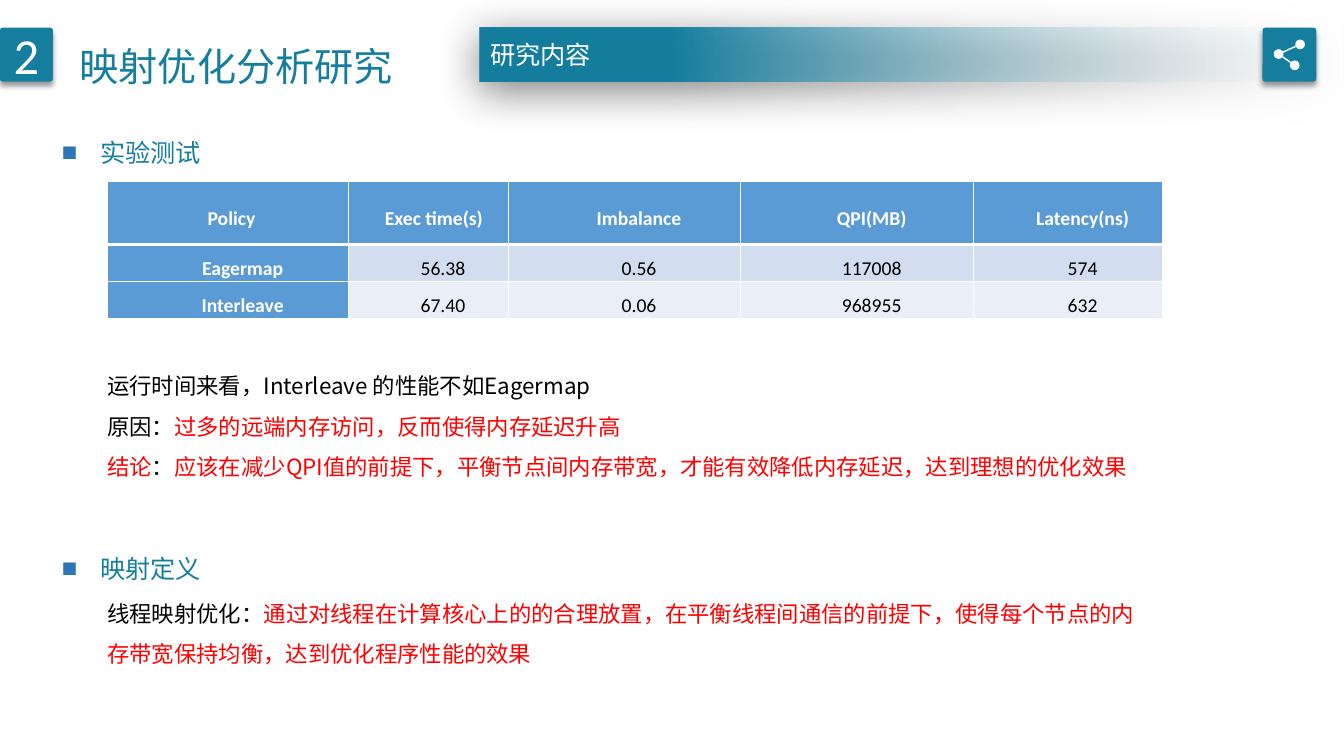
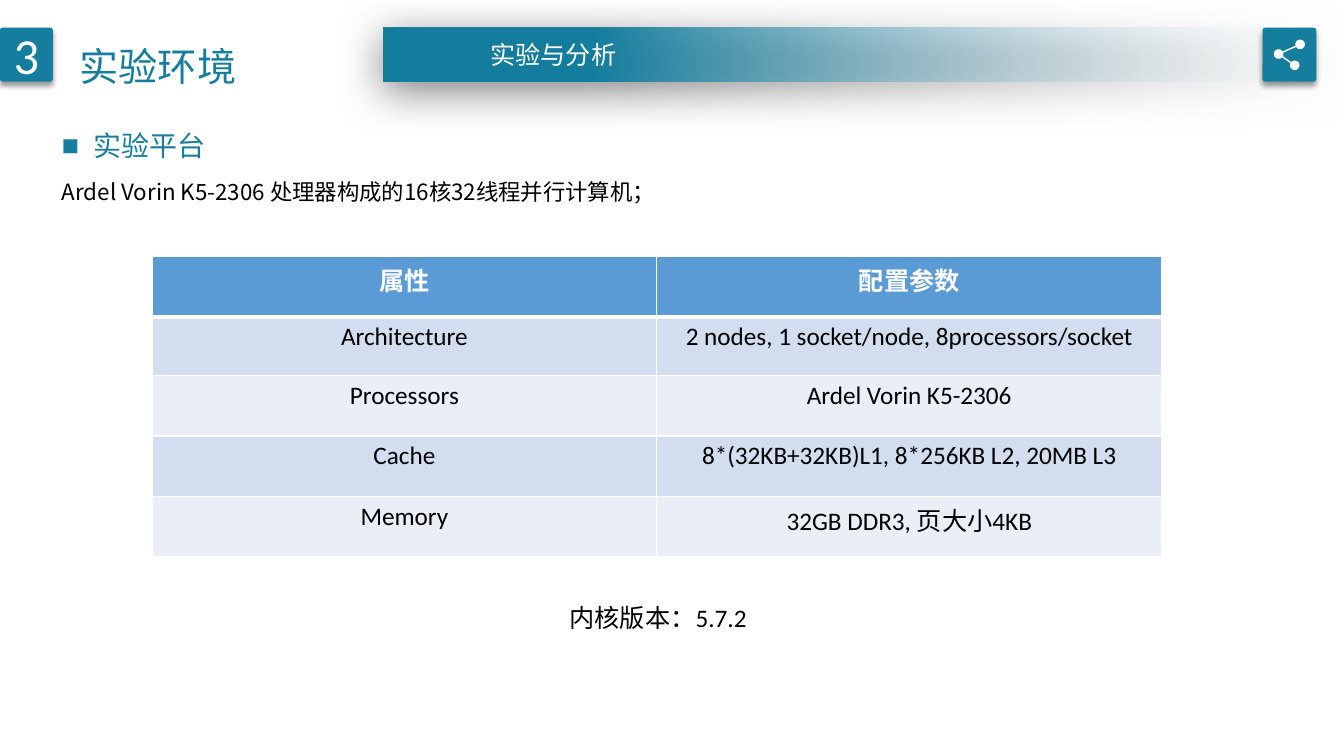
from dataclasses import dataclass

from lxml import etree
from pptx import Presentation
from pptx.dml.color import RGBColor
from pptx.enum.shapes import MSO_CONNECTOR, MSO_SHAPE
from pptx.enum.text import MSO_ANCHOR, PP_ALIGN
from pptx.oxml.ns import qn
from pptx.util import Emu, Inches, Pt

LEFT, CENTER, JUSTIFY = PP_ALIGN.LEFT, PP_ALIGN.CENTER, PP_ALIGN.JUSTIFY
MIDDLE = MSO_ANCHOR.MIDDLE
RECT, ROUNDED, OVAL = MSO_SHAPE.RECTANGLE, MSO_SHAPE.ROUNDED_RECTANGLE, MSO_SHAPE.OVAL
STRAIGHT = MSO_CONNECTOR.STRAIGHT

SLIDE_W, SLIDE_H = Inches(40 / 3), Inches(7.5)
COLS, ROWS = 160, 90
COL, ROW = SLIDE_W / COLS, SLIDE_H / ROWS
PROCESSOR = "Ardel Vorin K5-2306"


@dataclass(frozen=True)
class Theme:
    teal: str = "157E9F"
    fade: str = "F7FAFD"
    white: str = "FFFFFF"
    black: str = "000000"
    red: str = "FF0000"
    bullet: str = "2E75B6"
    header: str = "5B9BD5"
    stripes: tuple = ("D2DEEF", "EAEFF7")
    cjk: str = "Noto Sans CJK SC"
    latin: str = "Calibri"
    number: int = 36
    title: int = 28
    section: int = 20
    text: int = 18
    body: int = 16
    cell: int = 14


THEME = Theme()


@dataclass(frozen=True)
class Box:
    left: float
    top: float
    width: float
    height: float

    def emu(self):
        return (Emu(round(self.left * COL)), Emu(round(self.top * ROW)),
                Emu(round(self.width * COL)), Emu(round(self.height * ROW)))

    def at(self, left, top, width, height):
        return Box(self.left + left, self.top + top, width, height)

    def point(self, across, down):
        return self.left + across * self.width, self.top + down * self.height


PAGE = Box(0, 0, COLS, ROWS)


def rgb(color):
    return RGBColor.from_string(color)


def add_xml(parent, tag, **attributes):
    return etree.SubElement(parent, qn(tag), attributes)


def write(paragraph, runs, size, color=THEME.black, face=THEME.cjk, bold=False,
          align=LEFT, leading=None, before=0, indent=0, bullet=None):
    paragraph.alignment = align
    paragraph.space_before = Pt(before)
    if leading:
        paragraph.line_spacing = leading
    properties = paragraph._p.get_or_add_pPr()
    if bullet:
        bullet_color, hang = bullet
        properties.set("marL", str(Inches(hang)))
        indent = -hang
        add_xml(add_xml(properties, "a:buClr"), "a:srgbClr", val=bullet_color)
        add_xml(properties, "a:buSzPct", val="65000")
        add_xml(properties, "a:buFont", typeface=THEME.latin)
        add_xml(properties, "a:buChar", char="■")
    properties.set("indent", str(Inches(indent)))
    font = paragraph.font
    font.size, font.bold, font.name = Pt(size), bold, face
    add_xml(properties.find(qn("a:defRPr")), "a:ea", typeface=THEME.cjk)
    if isinstance(runs, str):
        font.color.rgb = rgb(color)
        paragraph.add_run().text = runs
        return
    for words, run_color in runs:
        run = paragraph.add_run()
        run.text = words
        run.font.color.rgb = rgb(run_color)


def add_text(slide, box, paragraphs, wrap=True):
    frame = slide.shapes.add_textbox(*box.emu()).text_frame
    frame.word_wrap = wrap
    for index, (runs, style) in enumerate(paragraphs):
        write(frame.add_paragraph() if index else frame.paragraphs[0], runs, **style)


def add_shadow(shape, alpha, blur, distance, angle):
    shape.shadow.inherit = False
    effects = shape._element.spPr.find(qn("a:effectLst"))
    shadow = add_xml(effects, "a:outerShdw", blurRad=str(Pt(blur)), dist=str(Pt(distance)),
                     dir=str(angle * 60000), algn="t", rotWithShape="0")
    color = add_xml(shadow, "a:srgbClr", val=THEME.black)
    add_xml(color, "a:alpha", val=str(alpha * 1000))


def add_solid(slide, kind, box, color):
    shape = slide.shapes.add_shape(kind, *box.emu())
    shape.shadow.inherit = False
    shape.fill.solid()
    shape.fill.fore_color.rgb = rgb(color)
    shape.line.fill.background()
    return shape


def add_tile(slide, box):
    tile = add_solid(slide, ROUNDED, box, THEME.teal)
    tile.adjustments[0] = 0.05
    add_shadow(tile, 40, 4, 3, 90)
    return tile


def add_band(slide, box):
    band = add_solid(slide, RECT, box, THEME.teal)
    band.fill.gradient()
    band.fill.gradient_angle = 180
    stops = zip(band.fill.gradient_stops, (0, 0.78), (THEME.fade, THEME.teal))
    for stop, position, color in stops:
        stop.position = position
        stop.color.rgb = rgb(color)
    clear_end = next(band._element.iter(qn("a:gs")))
    add_xml(clear_end[0], "a:alpha", val="0")
    add_shadow(band, 50, 31, 6, 97)


def add_share_icon(slide, box):
    add_tile(slide, box)
    hub, *leaves = [box.point(*share) for share in ((0.3, 0.49), (0.7, 0.31), (0.6, 0.7))]
    for leaf in leaves:
        start, end = Box(*hub, 0, 0).emu()[:2], Box(*leaf, 0, 0).emu()[:2]
        link = slide.shapes.add_connector(STRAIGHT, *start, *end)
        link.line.color.rgb = rgb(THEME.white)
        link.line.width = Pt(1)
        add_xml(link._element.spPr, "a:effectLst")
    radius = 0.09 * box.width
    for across, down in (hub, *leaves):
        dot = Box(across - radius, down - radius, 2 * radius, 2 * radius)
        add_solid(slide, OVAL, dot, THEME.white)


def add_header(slide, box, number, title, chapter, band_left):
    add_band(slide, box.at(band_left, 3.3, box.width - band_left, 6.4))
    badge = add_tile(slide, box.at(0, 3.3, 6.3, 6.4)).text_frame
    badge.vertical_anchor = MIDDLE
    write(badge.paragraphs[0], number, THEME.number, THEME.white, THEME.latin, align=CENTER)
    add_text(slide, box.at(57.2, 3.9, 36, 4.8),
             [(chapter, dict(size=THEME.text, color=THEME.white, leading=Pt(23)))])
    add_share_icon(slide, box.at(150.3, 3.3, 6.4, 6.4))
    add_text(slide, box.at(8.3, 3, 41, 8),
             [(title, dict(size=THEME.title, color=THEME.teal, leading=Pt(42)))], wrap=False)


def add_border(cell, side, width):
    line = add_xml(cell._tc.get_or_add_tcPr(), f"a:ln{side}", w=str(Pt(width)))
    add_xml(add_xml(line, "a:solidFill"), "a:srgbClr", val=THEME.white)


def fill_cell(cell, words, row, heading, size, align=CENTER, leading=None, indent=0):
    for side in "LRTB":
        thick = (row == 0 and side == "B") or (row == 1 and side == "T")
        add_border(cell, side, 3 if thick else 1)
    cell.fill.solid()
    cell.fill.fore_color.rgb = rgb(THEME.header if heading else THEME.stripes[(row - 1) % 2])
    write(cell.text_frame.paragraphs[0], words, size,
          THEME.white if heading else THEME.black, THEME.latin, heading, align, leading,
          indent=indent)


def add_grid(slide, box, widths, heights, records, size, compact=False):
    table = slide.shapes.add_table(len(heights), len(widths), *box.emu()).table
    table.first_col = compact
    for column, width in zip(table.columns, widths):
        column.width = Emu(round(width * COL))
    for row, height in zip(table.rows, heights):
        row.height = Emu(round(height * ROW))
    for r, record in enumerate(records):
        for c, words in enumerate(record):
            cell = table.cell(r, c)
            style = {}
            if compact:
                cell.margin_left = cell.margin_right = Inches(0.07)
                cell.margin_top = cell.margin_bottom = 0
                cell.vertical_anchor = MIDDLE
                style = dict(leading=1.5, indent=0.07 if r == c == 0 else 0.29,
                             align=JUSTIFY if (r, c) == (0, 1) else CENTER)
            fill_cell(cell, words, r, r == 0 or (compact and c == 0), size, **style)


def build_mapping(slide, box):
    add_header(slide, box, "2", "映射优化分析研究", "研究内容", 57.1)
    heading = dict(size=THEME.text, color=THEME.teal, align=JUSTIFY, leading=Pt(32),
                   bullet=(THEME.bullet, 0.38))
    body = dict(size=THEME.body, leading=Pt(28.6))
    add_text(slide, box.at(6.2, 14, 86, 6), [("实验测试", heading)])
    add_text(slide, box.at(6.2, 63.5, 86, 6), [("映射定义", heading)])
    add_grid(slide, box.at(12.8, 21.6, 125.6, 16.3), (28.7, 19, 27.7, 27.7, 22.5),
             (7.5, 4.4, 4.4), [
                 ("Policy", "Exec time(s)", "Imbalance", "QPI(MB)", "Latency(ns)"),
                 ("Eagermap", "56.38", "0.56", "117008", "574"),
                 ("Interleave", "67.40", "0.06", "968955", "632"),
             ], THEME.cell, compact=True)
    findings = [
        "运行时间来看，Interleave 的性能不如Eagermap",
        [("原因：", THEME.black), ("过多的远端内存访问，反而使得内存延迟升高", THEME.red)],
        [("结论", THEME.red), ("：", THEME.black),
         ("应该在减少QPI值的前提下，平衡节点间内存带宽，才能有效降低内存延迟，"
          "达到理想的优化效果", THEME.red)],
    ]
    definition = [
        ("线程映射优化：", THEME.black),
        ("通过对线程在计算核心上的的合理放置，在平衡线程间通信的前提下，"
         "使得每个节点的内存带宽保持均衡，达到优化程序性能的效果", THEME.red),
    ]
    add_text(slide, box.at(11.6, 42.2, 125.8, 16), [(line, body) for line in findings])
    add_text(slide, box.at(11.6, 69.3, 125.8, 11), [(definition, body)])


def build_environment(slide, box):
    add_header(slide, box, "3", "实验环境", "实验与分析", 45.6)
    add_text(slide, box.at(6.2, 14.6, 144, 11), [
        ("实验平台", dict(size=THEME.section, color=THEME.teal, align=JUSTIFY,
                      leading=Pt(25), bullet=(THEME.teal, 0.31))),
        (f"{PROCESSOR} 处理器构成的16核32线程并行计算机；",
         dict(size=THEME.body, align=JUSTIFY, leading=Pt(18.5), before=12)),
    ])
    add_grid(slide, box.at(18.1, 30.5, 120.2, 35.8), (60.1, 60.1), (7.2, 7, 7.2, 7.2, 7.2), [
        ("属性", "配置参数"),
        ("Architecture", "2 nodes, 1 socket/node, 8processors/socket"),
        ("Processors", PROCESSOR),
        ("Cache", "8*(32KB+32KB)L1, 8*256KB L2, 20MB L3"),
        ("Memory", "32GB DDR3, 页大小4KB"),
    ], THEME.text)
    add_text(slide, box.at(45.6, 70.9, 65.5, 4.8),
             [("内核版本：5.7.2", dict(size=THEME.text, face=THEME.latin, align=CENTER,
                                  leading=Pt(23)))])


def main():
    deck = Presentation()
    deck.slide_width, deck.slide_height = SLIDE_W, SLIDE_H
    blank = deck.slide_layouts[6]
    for build in (build_mapping, build_environment):
        build(deck.slides.add_slide(blank), PAGE)
    deck.save("out.pptx")


if __name__ == "__main__":
    main()
